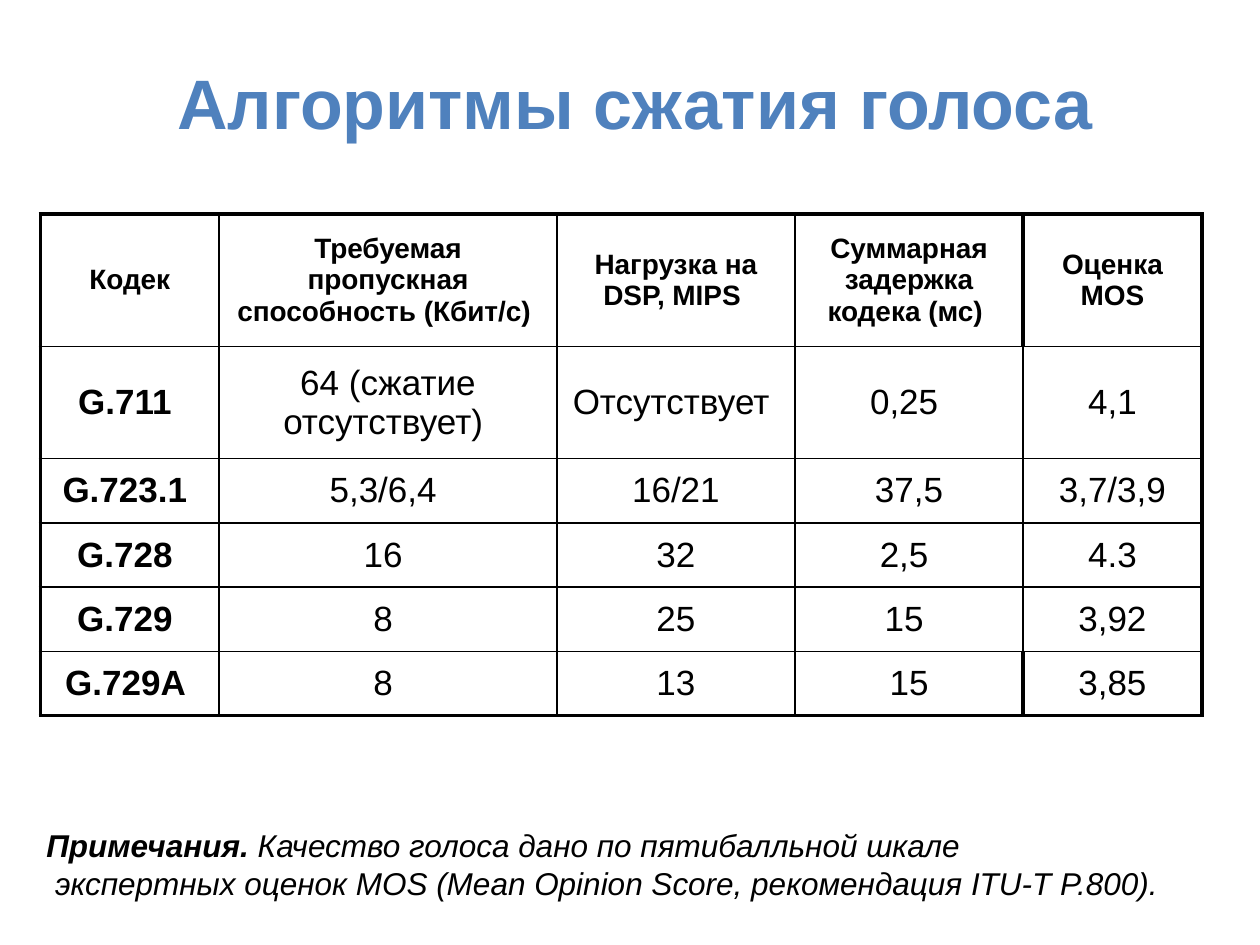
from lxml import etree
from pptx import Presentation, util as u
from pptx.dml.color import RGBColor
from pptx.enum import text
from pptx.oxml import ns

COLORS = {"title": "4F81BD", "ink": "000000", "page": "FFFFFF"}
FONT = "Arial"
THIN, THICK = 1, 2.25
COLUMN_WIDTHS = [1.42, 2.68, 1.89, 1.81, 1.42]
ROW_HEIGHTS = [1.05, 0.89] + [0.51] * 4
CODECS = [
    ["Кодек", "Требуемая пропускная способность (Кбит/с) ", "Нагрузка на DSP, MIPS ",
     "Суммарная задержка кодека (мс) ", "Оценка MOS"],
    ["G.711 ", "64 (сжатие отсутствует) ", "Отсутствует ", "0,25 ", "4,1"],
    ["G.723.1 ", "5,3/6,4 ", "16/21", "37,5", "3,7/3,9"],
    ["G.728 ", "16 ", "32", "2,5 ", "4.3"],
    ["G.729 ", "8 ", "25", "15 ", "3,92"],
    ["G.729A ", "8 ", "13", "15", "3,85"],
]
NOTE = [
    [("Примечания.", True), (" Качество голоса дано по пятибалльной шкале", False)],
    [(" экспертных оценок MOS (Mean Opinion Score, рекомендация ITU-T P.800).", False)],
]


def style_font(font, size, color="ink", bold=False, italic=False):
    font.name, font.size = FONT, u.Pt(size)
    font.bold, font.italic = bold, italic
    font.color.rgb = RGBColor.from_string(COLORS[color])


def add_title(page, wording):
    title = page.shapes.title
    title.left, title.top = u.Inches(0.51), u.Inches(0.42)
    title.width, title.height = u.Inches(9.06), u.Inches(0.41)
    frame = title.text_frame
    frame.text = wording
    frame.auto_size = text.MSO_AUTO_SIZE.NONE
    frame.vertical_anchor = text.MSO_ANCHOR.TOP
    paragraph = frame.paragraphs[0]
    paragraph.alignment = text.PP_ALIGN.CENTER
    style_font(paragraph.runs[0].font, 40, "title", bold=True)


def set_borders(cell, widths):
    """Draw the cell's borders; widths maps L, R, T and B to points."""
    properties = cell._tc.get_or_add_tcPr()
    for side, width in widths.items():
        line = etree.SubElement(properties, ns.qn(f"a:ln{side}"), w=str(u.Pt(width)))
        fill = etree.SubElement(line, ns.qn("a:solidFill"))
        etree.SubElement(fill, ns.qn("a:srgbClr"), val=COLORS["ink"])


def border_widths(row, column):
    """Thick outer frame, and a thick rule before the last column at both ends."""
    last_row, last_column = len(ROW_HEIGHTS) - 1, len(COLUMN_WIDTHS) - 1
    thick_rules = {0, last_column + 1}
    if row in (0, last_row):
        thick_rules.add(last_column)
    return {
        "L": THICK if column in thick_rules else THIN,
        "R": THICK if column + 1 in thick_rules else THIN,
        "T": THICK if row == 0 else THIN,
        "B": THICK if row == last_row else THIN,
    }


def fill_cell(cell, wording, row, column):
    cell.text = wording
    cell.vertical_anchor = text.MSO_ANCHOR.MIDDLE
    paragraph = cell.text_frame.paragraphs[0]
    paragraph.alignment = text.PP_ALIGN.CENTER
    style_font(paragraph.runs[0].font, 16 if row == 0 else 20,
               bold=row == 0 or column == 0)
    set_borders(cell, border_widths(row, column))
    cell.fill.background()


def add_codec_table(page):
    table = page.shapes.add_table(
        len(ROW_HEIGHTS), len(COLUMN_WIDTHS), u.Inches(0.32), u.Inches(1.7),
        u.Inches(sum(COLUMN_WIDTHS)), u.Inches(sum(ROW_HEIGHTS))).table
    table.first_row = table.horz_banding = False
    for column, width in zip(table.columns, COLUMN_WIDTHS):
        column.width = u.Inches(width)
    for row, height in zip(table.rows, ROW_HEIGHTS):
        row.height = u.Inches(height)
    for row, wordings in enumerate(CODECS):
        for column, wording in enumerate(wordings):
            fill_cell(table.cell(row, column), wording, row, column)


def add_note(page):
    box = page.shapes.add_textbox(u.Inches(0.27), u.Inches(6.51),
                                  u.Inches(9.13), u.Inches(0.7))
    frame = box.text_frame
    frame.word_wrap = False
    frame.auto_size = text.MSO_AUTO_SIZE.SHAPE_TO_FIT_TEXT
    frame.vertical_anchor = text.MSO_ANCHOR.MIDDLE
    for index, spans in enumerate(NOTE):
        paragraph = frame.add_paragraph() if index else frame.paragraphs[0]
        paragraph.alignment = text.PP_ALIGN.LEFT
        for wording, bold in spans:
            span = paragraph.add_run()
            span.text = wording
            style_font(span.font, 18, bold=bold, italic=True)


def main():
    deck = Presentation()
    deck.slide_width, deck.slide_height = u.Inches(10), u.Inches(7.5)
    page = deck.slides.add_slide(deck.slide_layouts.get_by_name("Title Only"))
    page.background.fill.solid()
    page.background.fill.fore_color.rgb = RGBColor.from_string(COLORS["page"])
    add_title(page, "Алгоритмы сжатия голоса")
    add_codec_table(page)
    add_note(page)
    deck.save("out.pptx")


if __name__ == "__main__":
    main()
